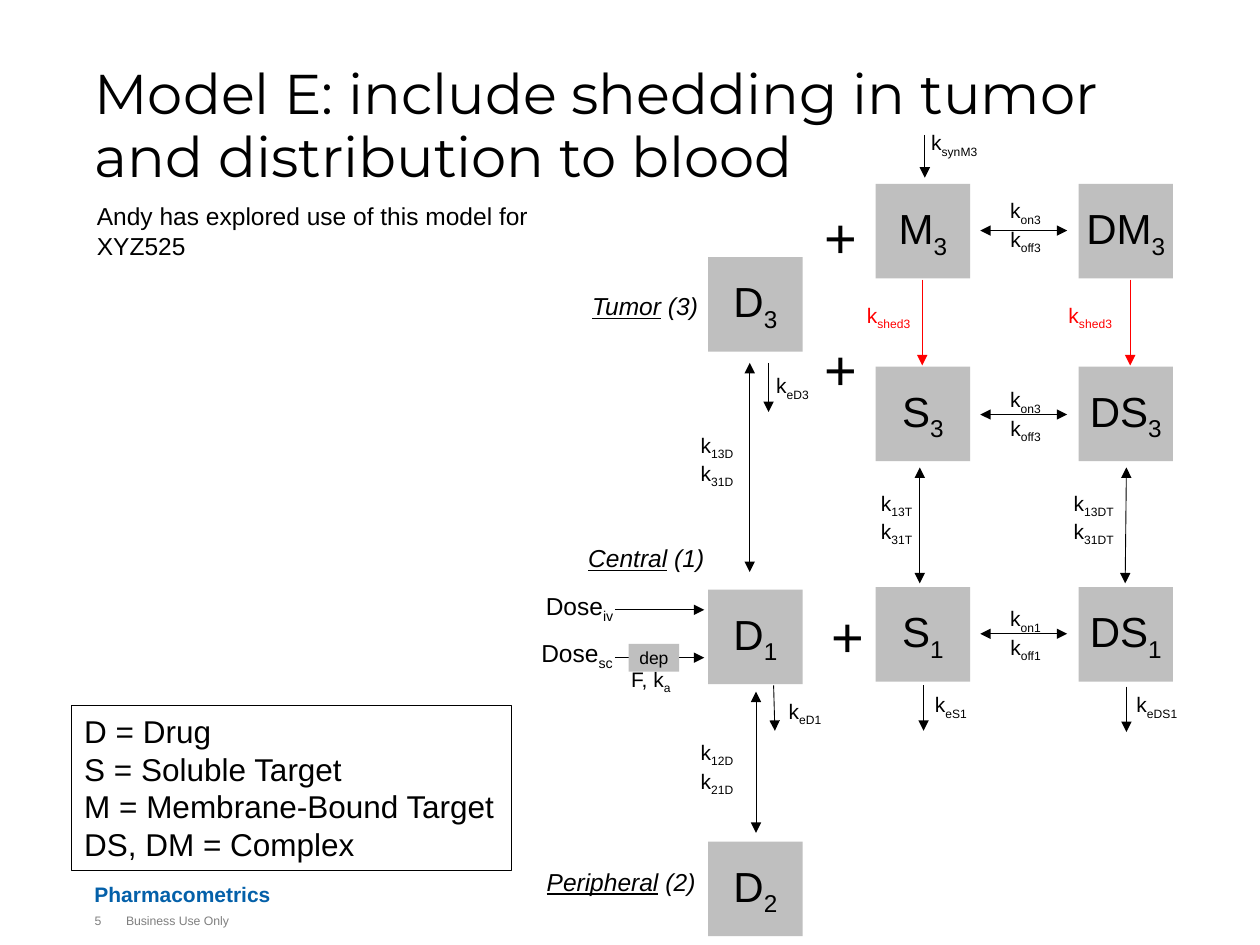
from dataclasses import dataclass

from lxml.etree import SubElement
from pptx import Presentation
from pptx.dml.color import RGBColor
from pptx.enum.shapes import MSO_CONNECTOR, MSO_SHAPE
from pptx.enum.text import MSO_ANCHOR, PP_ALIGN
from pptx.oxml.ns import qn
from pptx.util import Inches, Pt


@dataclass(frozen=True)
class Theme:
    """Colours, fonts and type sizes of the slide."""
    black: str = "000000"
    red: str = "FF0000"
    gray: str = "BFBFBF"
    muted: str = "7F7F7F"
    blue: str = "0460A9"
    body: str = "Arial"
    heading: str = "Montserrat"
    title: int = 32
    state: int = 24
    legend: int = 18
    text: int = 14
    rate: int = 12
    depot: int = 10
    footer: int = 7


THEME = Theme()
STATE_SIZE = 0.75
DRUG_X, TARGET_X, COMPLEX_X = 5.62, 6.95, 8.56

# An underscore starts a subscript.
STATES = [
    ("D_3", DRUG_X, 2.04), ("D_1", DRUG_X, 4.68), ("D_2", DRUG_X, 6.68),
    ("M_3", TARGET_X, 1.46), ("S_3", TARGET_X, 2.91), ("S_1", TARGET_X, 4.66),
    ("DM_3", COMPLEX_X, 1.46), ("DS_3", COMPLEX_X, 2.91), ("DS_1", COMPLEX_X, 4.66),
]
PLUS_SIGNS = [(6.54, 1.54), (6.54, 2.59), (6.6, 4.71)]
# Compartment number, label top, arrow height
BINDING = [(3, 1.57, 1.83), (3, 3.07, 3.29), (1, 4.81, 5.03)]
# Rate labels: lines, left, top, width
RATES = [
    (["k_synM3"], 7.39, 1.03, 0.66), (["k_eD3"], 6.16, 2.96, 0.38),
    (["k_eD1"], 6.26, 5.54, 0.66), (["k_eS1"], 7.42, 5.49, 0.66),
    (["k_eDS1"], 9.02, 5.49, 0.66), (["F, k_a"], 5.01, 5.29, 0.66),
    (["k_13D", "k_31D"], 5.56, 3.43, 0.41), (["k_12D", "k_21D"], 5.56, 5.87, 0.41),
    (["k_13T", "k_31T"], 6.99, 3.89, 0.41), (["k_13DT", "k_31DT"], 8.52, 3.89, 0.48),
]
# Shedding: label left, label width, arrow x
SHEDDING = [(6.88, 0.44, 7.32), (8.48, 0.45, 8.97)]
EXCHANGES = [
    (5.95, 4.54, 5.95, 2.88), (6, 6.61, 6, 5.49),
    (7.3, 4.63, 7.3, 3.71), (8.93, 4.63, 8.94, 3.71),
]
FLOWS = [
    (7.34, 1.07, 7.34, 1.41), (6.1, 2.88, 6.1, 3.27), (6.14, 5.44, 6.15, 5.8),
    (7.33, 5.44, 7.33, 5.8), (8.94, 5.45, 8.94, 5.81),
]
# Doses: name, left, top, width, arrow height
DOSES = [("Dose_iv", 4.26, 4.69, 0.68, 4.84), ("Dose_sc", 4.22, 5.06, 0.72, 5.22)]
COMPARTMENTS = [
    ("Tumor", " (3)", 4.6, 2.26, 1.85), ("Central", " (1)", 4.57, 4.26, 1.75),
    ("Peripheral", " (2)", 4.24, 6.83, 2.42),
]
LEGEND = ["D = Drug", "S = Soluble Target", "M = Membrane-Bound Target", "DS, DM = Complex"]

deck = Presentation()
deck.slide_width, deck.slide_height = Inches(10), Inches(7.5)
page = deck.slides.add_slide(deck.slide_layouts[6])


def style(para, size, color=THEME.black, font=THEME.body, align=PP_ALIGN.LEFT):
    """Set the font and alignment of a paragraph."""
    para.font.size, para.font.name = Pt(size), font
    para.font.color.rgb = RGBColor.from_string(color)
    para.alignment = align


def write(box, lines, size, inset=False, anchor=MSO_ANCHOR.TOP, wrap=True, **look):
    """Write lines into a box, setting what follows an underscore as subscript."""
    frame = box.text_frame
    frame.word_wrap, frame.vertical_anchor = wrap, anchor
    if not inset:
        frame.margin_left = frame.margin_right = frame.margin_top = frame.margin_bottom = 0
    for number, line in enumerate(lines):
        para = frame.add_paragraph() if number else frame.paragraphs[0]
        style(para, size, **look)
        base, _, subscript = line.partition("_")
        para.add_run().text = base
        if subscript:
            span = para.add_run()
            span.text = subscript
            span.font._element.set("baseline", "-25000")
    return frame.paragraphs[0]


def label(lines, left, top, width, height, size, **look):
    """Add a text box and return its first paragraph."""
    box = page.shapes.add_textbox(Inches(left), Inches(top), Inches(width), Inches(height))
    return write(box, lines, size, **look)


def rectangle(left, top, width, height, fill=None):
    """Add a rectangle: filled without a border, or bordered without a fill."""
    box = page.shapes.add_shape(
        MSO_SHAPE.RECTANGLE, Inches(left), Inches(top), Inches(width), Inches(height))
    box.shadow.inherit = False
    if fill:
        box.fill.solid()
        box.fill.fore_color.rgb = RGBColor.from_string(fill)
        box.line.fill.background()
    else:
        box.fill.background()
        box.line.color.rgb = RGBColor.from_string(THEME.black)
        box.line.width = Pt(0.75)
    return box


def arrow(x1, y1, x2, y2, both=False, color=THEME.black):
    """Add a thin arrow, pointed at its end or at both ends."""
    line = page.shapes.add_connector(
        MSO_CONNECTOR.STRAIGHT, Inches(x1), Inches(y1), Inches(x2), Inches(y2))
    line.line.color.rgb = RGBColor.from_string(color)
    line.line.width = Pt(0.5)
    outline = line.line._get_or_add_ln()
    for end in ("a:headEnd", "a:tailEnd") if both else ("a:tailEnd",):
        SubElement(outline, qn(end), type="triangle")
    SubElement(line._element.spPr, qn("a:effectLst"))


def state(name, left, top, width=STATE_SIZE, height=STATE_SIZE, size=THEME.state):
    """Add a gray box with a centred name."""
    write(rectangle(left, top, width, height, THEME.gray), [name], size,
          anchor=MSO_ANCHOR.MIDDLE, align=PP_ALIGN.CENTER)


title = label(["Model E: include shedding in tumor and distribution to blood"],
              0.75, 0.5, 8.93, 1.05, THEME.title, font=THEME.heading)
title.line_spacing = 0.95
label(["Andy has explored use of this model for XYZ525"],
      0.67, 1.55, 3.78, 0.57, THEME.text, inset=True)
brand = label(["Pharmacometrics"], 0.75, 6.95, 6.5, 0.25, THEME.rate,
              color=THEME.blue, anchor=MSO_ANCHOR.BOTTOM)
brand.font.bold = True
label(["5"], 0.75, 7.25, 0.25, 0.25, THEME.footer, color=THEME.muted)
label(["Business Use Only"], 1, 7.25, 6.25, 0.25, THEME.footer, color=THEME.muted)

for name, left, top in STATES:
    state(name, left, top)
for left, top in PLUS_SIGNS:
    label(["+"], left, top, 0.32, 0.66, THEME.title, anchor=MSO_ANCHOR.MIDDLE)
for number, top, y in BINDING:
    label([f"k_on{number}", f"k_off{number}"], 7.83, top, 0.62, 0.5, THEME.rate,
          align=PP_ALIGN.CENTER)
    arrow(7.78, y, 8.47, y, both=True)
for lines, left, top, width in RATES:
    label(lines, left, top, width, 0.25 * len(lines), THEME.rate)
for left, width, x in SHEDDING:
    label(["k_shed3"], left, 2.4, width, 0.2, THEME.rate, color=THEME.red)
    arrow(x, 2.22, x, 2.9, color=THEME.red)
for ends in EXCHANGES:
    arrow(*ends, both=True)
for ends in FLOWS:
    arrow(*ends)
for name, left, top, width, y in DOSES:
    label([name], left, top, width, 0.29, THEME.text, wrap=False, align=PP_ALIGN.CENTER)
    arrow(4.88, y, 5.59, y)
state("dep", 4.99, 5.11, 0.4, 0.22, THEME.depot)
for name, number, left, top, width in COMPARTMENTS:
    heading = label([name], left, top, width, 0.41, THEME.text, inset=True)
    heading.font.italic = True
    heading.runs[0].font.underline = True
    heading.add_run().text = number
write(rectangle(0.57, 5.6, 3.49, 1.31), LEGEND, THEME.legend, inset=True, wrap=False)

deck.save("out.pptx")
